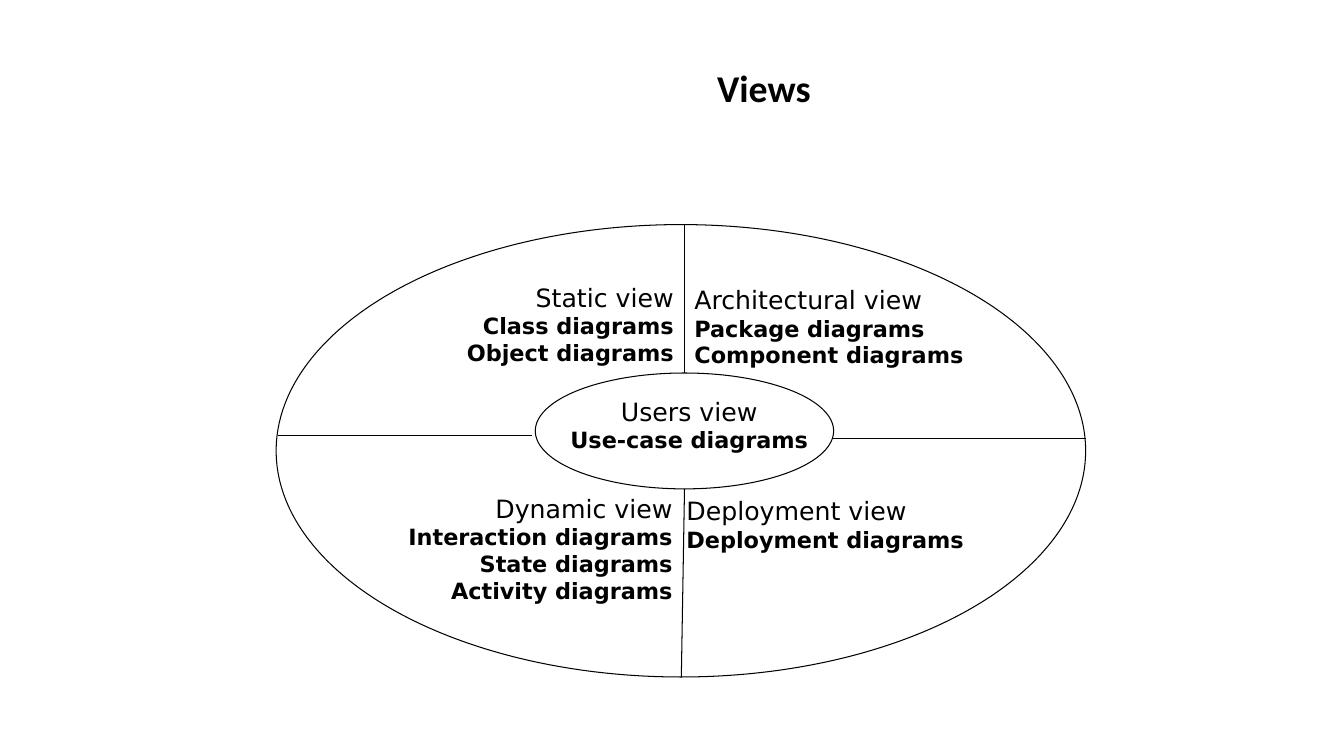
from dataclasses import dataclass

import lxml.etree
import pptx
import pptx.dml.color
import pptx.enum.shapes
import pptx.enum.text
import pptx.oxml.ns
import pptx.slide
import pptx.text.text
import pptx.util

Cm = pptx.util.Cm
Pt = pptx.util.Pt
ALIGN = pptx.enum.text.PP_ALIGN

COLOURS = {"ink": "000000", "page": "FFFFFF"}
TITLE_FORMAT = {"name": "Calibri", "size": Pt(27), "bold": True}
VIEW_FORMAT = {"name": "DejaVu Sans", "size": Pt(18), "bold": False}
DIAGRAM_FORMAT = {"name": "DejaVu Sans", "size": Pt(16), "bold": True}
LINE_WIDTH = Pt(0.75)
INSET = Cm(0.13)


@dataclass
class Oval:
    left: float
    top: float
    width: float
    height: float


@dataclass
class Divider:
    start: tuple[float, float]
    end: tuple[float, float]


@dataclass
class View:
    left: float
    top: float
    width: float
    height: float
    align: ALIGN
    name: str
    diagrams: list[str]


# Lengths in centimetres
OVALS = [Oval(6.96, 5.66, 20.4, 11.4), Oval(13.49, 9.4, 7.52, 2.92)]
DIVIDERS = [
    Divider((17.25, 5.66), (17.25, 9.4)),
    Divider((17.25, 12.32), (17.17, 17.07)),
    Divider((7.01, 10.97), (13.41, 10.97)),
    Divider((20.98, 11.05), (27.38, 11.05)),
]
# Each box is a little wider than its longest line, so that no line breaks
VIEWS = [
    View(11.21, 6.98, 5.9, 2.36, ALIGN.RIGHT, "Static view",
         ["Class diagrams", "Object diagrams"]),
    View(17.17, 12.36, 7.65, 1.7, ALIGN.LEFT, "Deployment view",
         ["Deployment diagrams"]),
    View(9.48, 12.29, 7.6, 3.05, ALIGN.RIGHT, "Dynamic view",
         ["Interaction diagrams", "State diagrams", "Activity diagrams"]),
    View(14.02, 9.85, 6.7, 1.7, ALIGN.CENTER, "Users view",
         ["Use-case diagrams"]),
    View(17.37, 7.04, 7.45, 2.36, ALIGN.LEFT, "Architectural view",
         ["Package diagrams", "Component diagrams"]),
]


def colour(name: str) -> pptx.dml.color.RGBColor:
    return pptx.dml.color.RGBColor.from_string(COLOURS[name])


def set_all(target: object, values: dict) -> None:
    for key, value in values.items():
        setattr(target, key, value)


def write(para: pptx.text.text._Paragraph, text: str, align: ALIGN,
          font_format: dict) -> None:
    para.alignment = align
    span = para.add_run()
    span.text = text
    set_all(span.font, font_format)
    span.font.color.rgb = colour("ink")


def draw_title(page: pptx.slide.Slide, text: str) -> None:
    title = page.shapes.title
    set_all(title, {"left": Cm(5.66), "top": Cm(1.02),
                    "width": Cm(27.18), "height": Cm(2.51)})
    frame = title.text_frame
    set_all(frame, {"vertical_anchor": pptx.enum.text.MSO_ANCHOR.MIDDLE,
                    "auto_size": pptx.enum.text.MSO_AUTO_SIZE.NONE,
                    "word_wrap": True})
    para = frame.paragraphs[0]
    para.line_spacing = 0.9
    write(para, text, ALIGN.CENTER, TITLE_FORMAT)


def draw_oval(page: pptx.slide.Slide, oval: Oval) -> None:
    shape = page.shapes.add_shape(
        pptx.enum.shapes.MSO_SHAPE.OVAL,
        Cm(oval.left), Cm(oval.top), Cm(oval.width), Cm(oval.height))
    shape.shadow.inherit = False
    shape.fill.background()
    shape.line.color.rgb = colour("ink")
    shape.line.width = LINE_WIDTH


def draw_divider(page: pptx.slide.Slide, divider: Divider) -> None:
    line = page.shapes.add_connector(
        pptx.enum.shapes.MSO_CONNECTOR.STRAIGHT,
        *(Cm(value) for value in divider.start + divider.end))
    line.line.color.rgb = colour("ink")
    line.line.width = LINE_WIDTH
    lxml.etree.SubElement(line._element.spPr,
                          pptx.oxml.ns.qn("a:effectLst"))


def draw_view(page: pptx.slide.Slide, view: View) -> None:
    box = page.shapes.add_textbox(
        Cm(view.left), Cm(view.top), Cm(view.width), Cm(view.height))
    frame = box.text_frame
    set_all(frame, {"margin_left": INSET, "margin_right": INSET,
                    "margin_top": INSET, "margin_bottom": INSET,
                    "word_wrap": True,
                    "auto_size":
                        pptx.enum.text.MSO_AUTO_SIZE.SHAPE_TO_FIT_TEXT})
    write(frame.paragraphs[0], view.name, view.align, VIEW_FORMAT)
    for diagram in view.diagrams:
        write(frame.add_paragraph(), diagram, view.align, DIAGRAM_FORMAT)


def main() -> None:
    deck = pptx.Presentation()
    deck.slide_width, deck.slide_height = Cm(33.87), Cm(19.05)
    page = deck.slides.add_slide(deck.slide_layouts[5])
    page.background.fill.solid()
    page.background.fill.fore_color.rgb = colour("page")

    draw_title(page, "Views")
    # Outer ring and centre, then the lines between the quarters
    for oval in OVALS:
        draw_oval(page, oval)
    for divider in DIVIDERS:
        draw_divider(page, divider)
    # View names with their diagrams
    for view in VIEWS:
        draw_view(page, view)

    deck.save("out.pptx")


if __name__ == "__main__":
    main()
